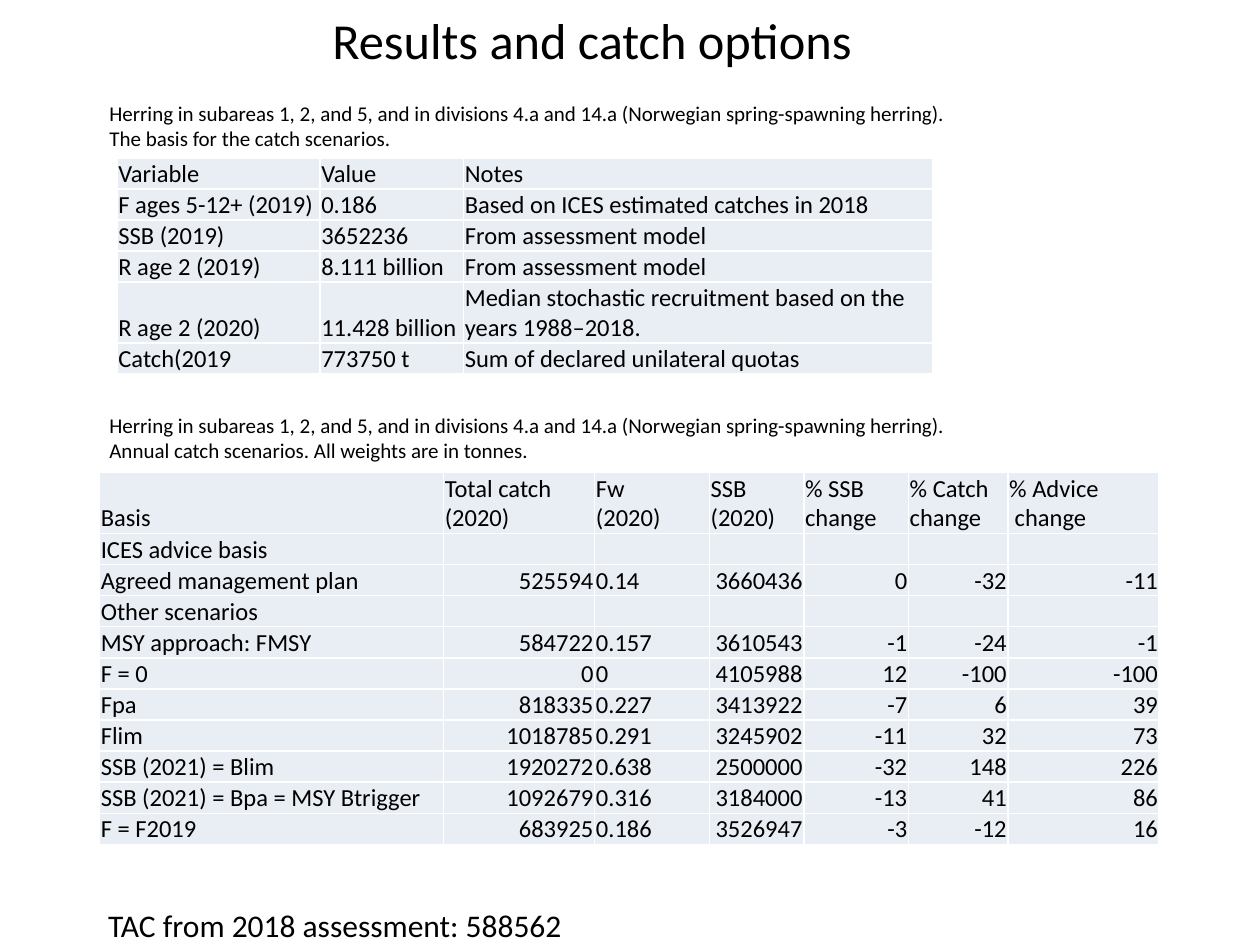
from pptx import Presentation
from pptx.dml.color import RGBColor
from pptx.enum.text import MSO_ANCHOR, MSO_AUTO_SIZE, PP_ALIGN
from pptx.util import Inches, Pt

HUES = {"ink": "000000", "cell": "E9EDF4"}
FACE = "Calibri"
WIDE, HIGH = Inches(10), Inches(7.5)
ROW = Inches(0.21)

TITLE = ("Results and catch options", (0.02, 0.007, 0.9, 0.07), 28.8)

STOCK = ("Herring in subareas 1, 2, and 5, and in divisions 4.a and 14.a "
         "(Norwegian spring-spawning herring).")
NOTES = [
    (STOCK + "\nThe basis for the catch scenarios.", (0.077, 0.1, 0.693, 0.067), 12),
    (STOCK + "\nAnnual catch scenarios. All weights are in tonnes.",
     (0.077, 0.43, 0.693, 0.067), 12),
    ("TAC from 2018 assessment: 588562", (0.076, 0.952, 0.384, 0.053), 18),
]

BASIS = [
    ("Variable", "Value", "Notes"),
    ("F ages 5-12+ (2019)", "0.186", "Based on ICES estimated catches in 2018"),
    ("SSB (2019)", "3652236", "From assessment model"),
    ("R age 2 (2019)", "8.111 billion", "From assessment model"),
    ("R age 2 (2020)", "11.428 billion",
     "Median stochastic recruitment based on the years 1988–2018."),
    ("Catch(2019", "773750 t", "Sum of declared unilateral quotas"),
]

CASES = [
    ("Basis", "Total catch\n(2020)", "Fw\n(2020)", "SSB\n(2020)",
     "% SSB\nchange", "% Catch\nchange", "% Advice\n change"),
    ("ICES advice basis",),
    ("Agreed management plan", "525594", "0.14", "3660436", "0", "-32", "-11"),
    ("Other scenarios",),
    ("MSY approach: FMSY", "584722", "0.157", "3610543", "-1", "-24", "-1"),
    ("F = 0", "0", "0", "4105988", "12", "-100", "-100"),
    ("Fpa", "818335", "0.227", "3413922", "-7", "6", "39"),
    ("Flim", "1018785", "0.291", "3245902", "-11", "32", "73"),
    ("SSB (2021) = Blim", "1920272", "0.638", "2500000", "-32", "148", "226"),
    ("SSB (2021) = Bpa = MSY Btrigger", "1092679", "0.316", "3184000", "-13", "41", "86"),
    ("F = F2019", "683925", "0.186", "3526947", "-3", "-12", "16"),
]

GRIDS = [
    (CASES, (0.079, 0.5), (0.273, 0.12, 0.091, 0.075, 0.083, 0.079, 0.12), "lrlrrrr"),
    (BASIS, (0.093, 0.167), (0.161, 0.114, 0.372), "lll"),
]
SIDES = {"l": PP_ALIGN.LEFT, "r": PP_ALIGN.RIGHT, "c": PP_ALIGN.CENTER}
CELL = {
    "margin_left": Inches(0.01),
    "margin_right": Inches(0.01),
    "margin_top": Inches(0.01),
    "margin_bottom": 0,
    "vertical_anchor": MSO_ANCHOR.BOTTOM,
}
PLAIN = {"first_row": False, "horz_banding": False}
NOTE = {"word_wrap": False, "auto_size": MSO_AUTO_SIZE.SHAPE_TO_FIT_TEXT}
HEAD = {"vertical_anchor": MSO_ANCHOR.MIDDLE, "auto_size": MSO_AUTO_SIZE.NONE}


def put(thing, looks):
    for key, value in looks.items():
        setattr(thing, key, value)


def scale(box):
    return [int(part * full) for part, full in zip(box, (WIDE, HIGH) * 2)]


def write(frame, text, size, side="l"):
    frame.text = text
    for para in frame.paragraphs:
        para.alignment = SIDES[side]
        if not para.runs:
            para._p.get_or_add_endParaRPr().set("sz", str(size * 100))
        for run in para.runs:
            put(run.font, {"name": FACE, "size": Pt(size)})
            run.font.color.rgb = RGBColor.from_string(HUES["ink"])


def add_grid(slide, rows, spot, spans, sides):
    left, top = scale(spot)
    width = int(sum(spans) * WIDE)
    table = slide.shapes.add_table(
        len(rows), len(spans), left, top, width, ROW * len(rows)).table
    put(table, PLAIN)
    for col, span in zip(table.columns, spans):
        col.width = int(span * WIDE)
    for y, row in enumerate(rows):
        for x, side in enumerate(sides):
            cell = table.cell(y, x)
            put(cell, CELL)
            cell.fill.solid()
            cell.fill.fore_color.rgb = RGBColor.from_string(HUES["cell"])
            text = row[x] if x < len(row) else ""
            write(cell.text_frame, text, 14, side if y else "l")


def main():
    deck = Presentation()
    put(deck, {"slide_width": WIDE, "slide_height": HIGH})
    slide = deck.slides.add_slide(deck.slide_layouts[5])

    text, box, size = TITLE
    title = slide.shapes.title
    put(title, dict(zip(("left", "top", "width", "height"), scale(box))))
    put(title.text_frame, HEAD)
    write(title.text_frame, text, size, "c")

    for grid in GRIDS:
        add_grid(slide, *grid)
    for text, box, size in NOTES:
        frame = slide.shapes.add_textbox(*scale(box)).text_frame
        put(frame, NOTE)
        write(frame, text, size)

    deck.save("out.pptx")


if __name__ == "__main__":
    main()
